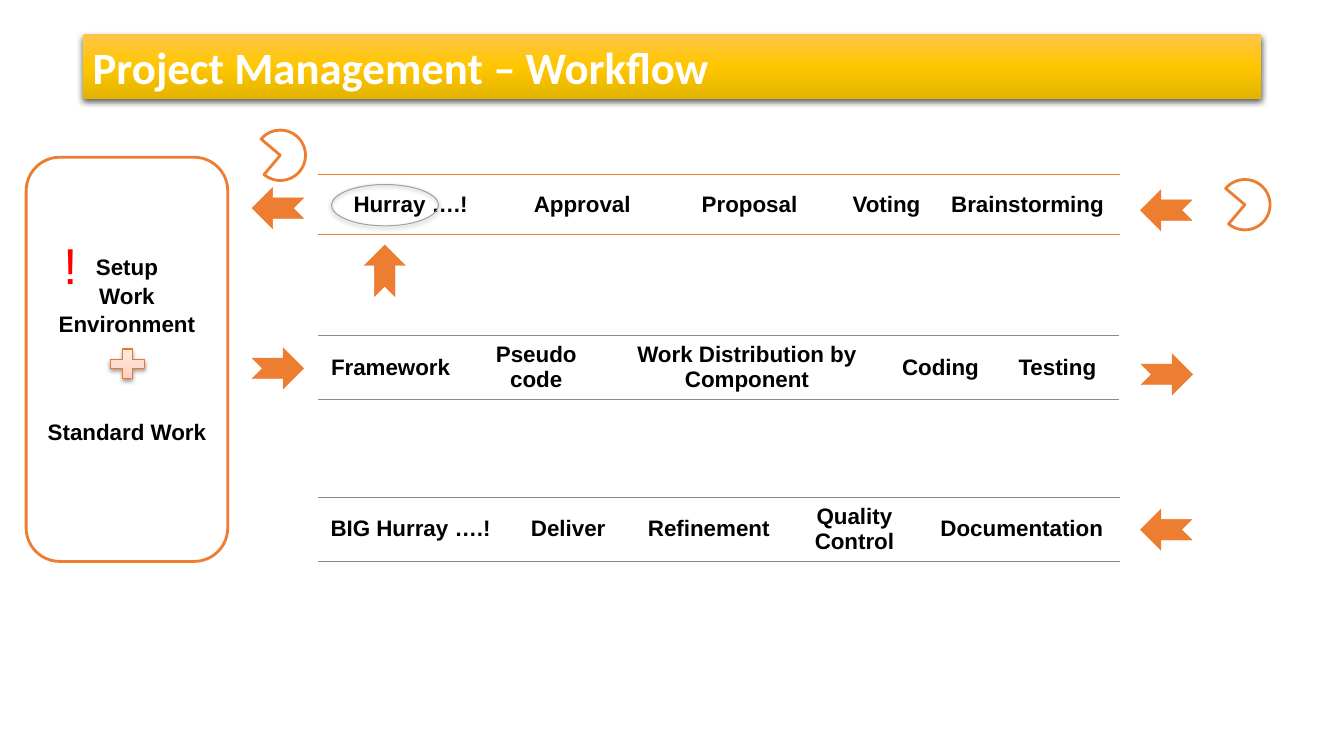
from dataclasses import dataclass

from lxml import etree
from pptx import Presentation
from pptx.dml import color
from pptx.enum import shapes, text
from pptx.oxml import ns
from pptx.util import Pt


@dataclass(frozen=True)
class Theme:
    orange: str = "ED7D31"
    plus_line: str = "EC792B"
    grey: str = "A1A1A1"
    rule_grey: str = "8C8C8C"
    white: str = "FFFFFF"
    black: str = "000000"
    red: str = "FF0000"
    banner: tuple = ((0, "FFC647"), (50, "FFC600"), (100, "E3B400"))
    plus: tuple = ((0, "FFC7B6"), (35, "FFD7CB"), (100, "FFF0EB"))
    title_font: str = "Calibri"
    body_font: str = "Arial"
    title_size: int = 32
    body_size: int = 16
    alert_size: int = 36


THEME = Theme()
SHAPE = shapes.MSO_SHAPE
LEFT, UP, RIGHT = 180, 270, 0
STAGE_LEFT = 226.8


def rgb(value):
    return color.RGBColor.from_string(value)


def points(*values):
    return [Pt(value) for value in values]


def child(parent, tag, **attributes):
    element = etree.SubElement(parent, ns.qn(tag))
    for name, value in attributes.items():
        element.set(name, str(value))
    return element


def format_text(frame, size, hue, font=THEME.body_font, bold=True,
                align=text.PP_ALIGN.CENTER):
    for paragraph in frame.paragraphs:
        paragraph.alignment = align
        for run in paragraph.runs:
            run.font.size = Pt(size)
            run.font.name = font
            run.font.bold = bold
            run.font.color.rgb = rgb(hue)


def fill_gradient(shape, stops, angle):
    shape.fill.gradient()
    shape.fill.gradient_angle = angle
    stop_list = shape._element.spPr.find(".//" + ns.qn("a:gsLst"))
    for stop in list(stop_list):
        stop_list.remove(stop)
    for position, hue in stops:
        stop = child(stop_list, "a:gs", pos=position * 1000)
        child(stop, "a:srgbClr", val=hue)


def cast_shadow(shape, opacity, blur, distance):
    shape.shadow.inherit = False
    effects = shape._element.spPr.find(ns.qn("a:effectLst"))
    shadow = child(effects, "a:outerShdw", blurRad=Pt(blur), dist=Pt(distance),
                   dir=5400000, algn="ctr", rotWithShape=0)
    hue = child(shadow, "a:srgbClr", val=THEME.black)
    child(hue, "a:alpha", val=opacity * 1000)


def add_preset(slide, kind, box, fill=None, line=THEME.orange, width=2, rotation=0):
    shape = slide.shapes.add_shape(kind, *points(*box))
    shape.shadow.inherit = False
    shape.rotation = rotation
    if fill:
        shape.fill.solid()
        shape.fill.fore_color.rgb = rgb(fill)
    else:
        shape.fill.background()
    shape.line.color.rgb = rgb(line)
    shape.line.width = Pt(width)
    return shape


def add_arrow(slide, left, top, direction):
    add_preset(slide, SHAPE.NOTCHED_RIGHT_ARROW, (left, top, 37, 29.5),
               THEME.orange, width=0.25, rotation=direction)


def add_pie(slide, left, top):
    add_preset(slide, SHAPE.PIE, (left, top, 36, 36), THEME.white, rotation=220.2)


def rule_cell(cell, hue):
    properties = cell._tc.get_or_add_tcPr()
    for index, side in enumerate(("a:lnL", "a:lnR", "a:lnT", "a:lnB")):
        border = child(properties, side, w=Pt(1))
        properties.insert(index, border)
        if side in ("a:lnT", "a:lnB"):
            child(child(border, "a:solidFill"), "a:srgbClr", val=hue)
        else:
            child(border, "a:noFill")


def add_stage(slide, top, height, steps, hue):
    width = sum(step_width for _, step_width in steps)
    table = slide.shapes.add_table(
        1, len(steps), *points(STAGE_LEFT, top, width, height)).table
    table.first_row = table.horz_banding = False
    table.rows[0].height = Pt(height)
    for index, (step, step_width) in enumerate(steps):
        table.columns[index].width = Pt(step_width)
        cell = table.cell(0, index)
        cell.text_frame.text = step
        cell.vertical_anchor = text.MSO_ANCHOR.MIDDLE
        cell.fill.background()
        format_text(cell.text_frame, THEME.body_size, THEME.black)
        rule_cell(cell, hue)


def add_banner(slide, wording):
    banner = slide.shapes.title
    banner.left, banner.top, banner.width, banner.height = points(59, 24.5, 841.7, 46)
    fill_gradient(banner, THEME.banner, 270)
    cast_shadow(banner, 63, 4.5, 1.5)
    frame = banner.text_frame
    frame.text = wording
    frame.auto_size = text.MSO_AUTO_SIZE.NONE
    frame.vertical_anchor = text.MSO_ANCHOR.MIDDLE
    format_text(frame, THEME.title_size, THEME.white, THEME.title_font,
                align=text.PP_ALIGN.LEFT)


def add_setup_panel(slide):
    panel = add_preset(slide, SHAPE.ROUNDED_RECTANGLE, (18.7, 112.3, 144, 288.7),
                       THEME.white)
    frame = panel.text_frame
    frame.text = "Setup\nWork\nEnvironment\nStandard Work"
    frame.vertical_anchor = text.MSO_ANCHOR.MIDDLE
    frame.margin_bottom = Pt(19)
    format_text(frame, THEME.body_size, THEME.black)
    for paragraph in frame.paragraphs:
        paragraph.line_spacing = 1.05
    frame.paragraphs[-1].space_before = Pt(57)


def add_plus(slide):
    plus = add_preset(slide, SHAPE.MATH_PLUS, (74.9, 245.5, 32.4, 28.8),
                      line=THEME.plus_line, width=0.75)
    fill_gradient(plus, THEME.plus, 90)
    cast_shadow(plus, 38, 3.1, 1.6)


def add_alert(slide):
    alert = slide.shapes.add_textbox(*points(38.2, 163.4, 36.7, 51))
    alert.text_frame.word_wrap = True
    alert.text_frame.text = "!"
    format_text(alert.text_frame, THEME.alert_size, THEME.red, bold=False,
                align=text.PP_ALIGN.LEFT)


def main():
    deck = Presentation()
    deck.slide_width, deck.slide_height = points(960, 540)
    slide = deck.slides.add_slide(deck.slide_layouts[5])

    add_banner(slide, "Project Management – Workflow")
    add_setup_panel(slide)
    add_stage(slide, 124.5, 43.2, [
        ("Hurray ….!", 133), ("Approval", 112.3), ("Proposal", 126.7),
        ("Voting", 69), ("Brainstorming", 132.5)], THEME.orange)
    add_stage(slide, 239.7, 45.6, [
        ("Framework", 104.4), ("Pseudo code", 103.7),
        ("Work Distribution by Component", 197.3), ("Coding", 79.2),
        ("Testing", 87.8)], THEME.rule_grey)
    add_stage(slide, 355.2, 45.6, [
        ("BIG Hurray ….!", 133), ("Deliver", 92.2), ("Refinement", 108.7),
        ("Quality Control", 99.4), ("Documentation", 139.7)], THEME.rule_grey)

    add_plus(slide)
    for left, top, direction in (
            (180, 248.4, RIGHT), (256.3, 178.6, UP), (180, 133.9, LEFT),
            (815, 252.7, RIGHT), (814.5, 363.6, LEFT), (814.5, 135.4, LEFT)):
        add_arrow(slide, left, top, direction)
    highlight = add_preset(slide, SHAPE.OVAL, (236.9, 131.8, 76.3, 29.5),
                           line=THEME.grey, width=0.75)
    cast_shadow(highlight, 38, 3.1, 1.6)
    add_alert(slide)
    add_pie(slide, 871.2, 128.2)
    add_pie(slide, 182.2, 92.9)

    deck.save("out.pptx")


main()
